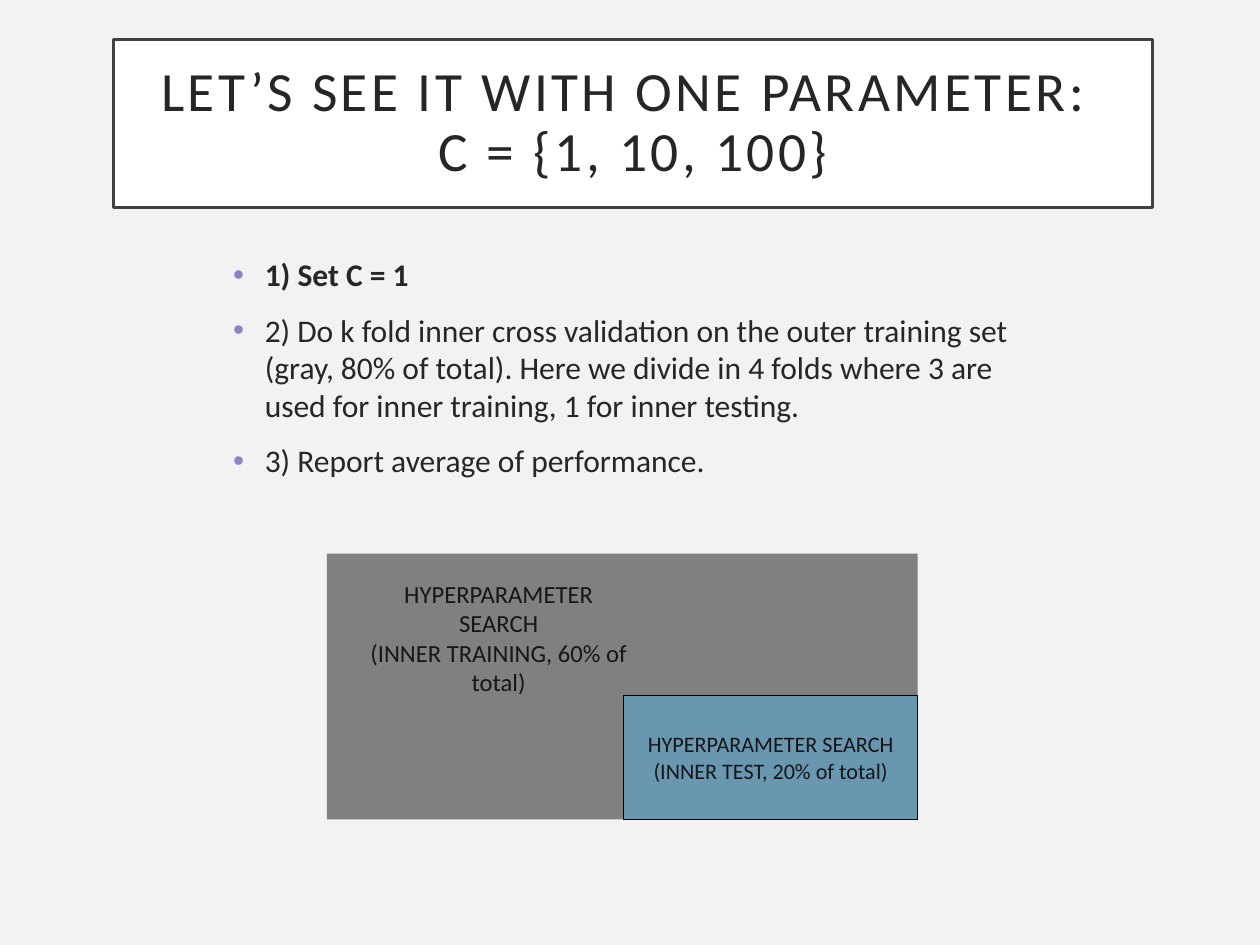
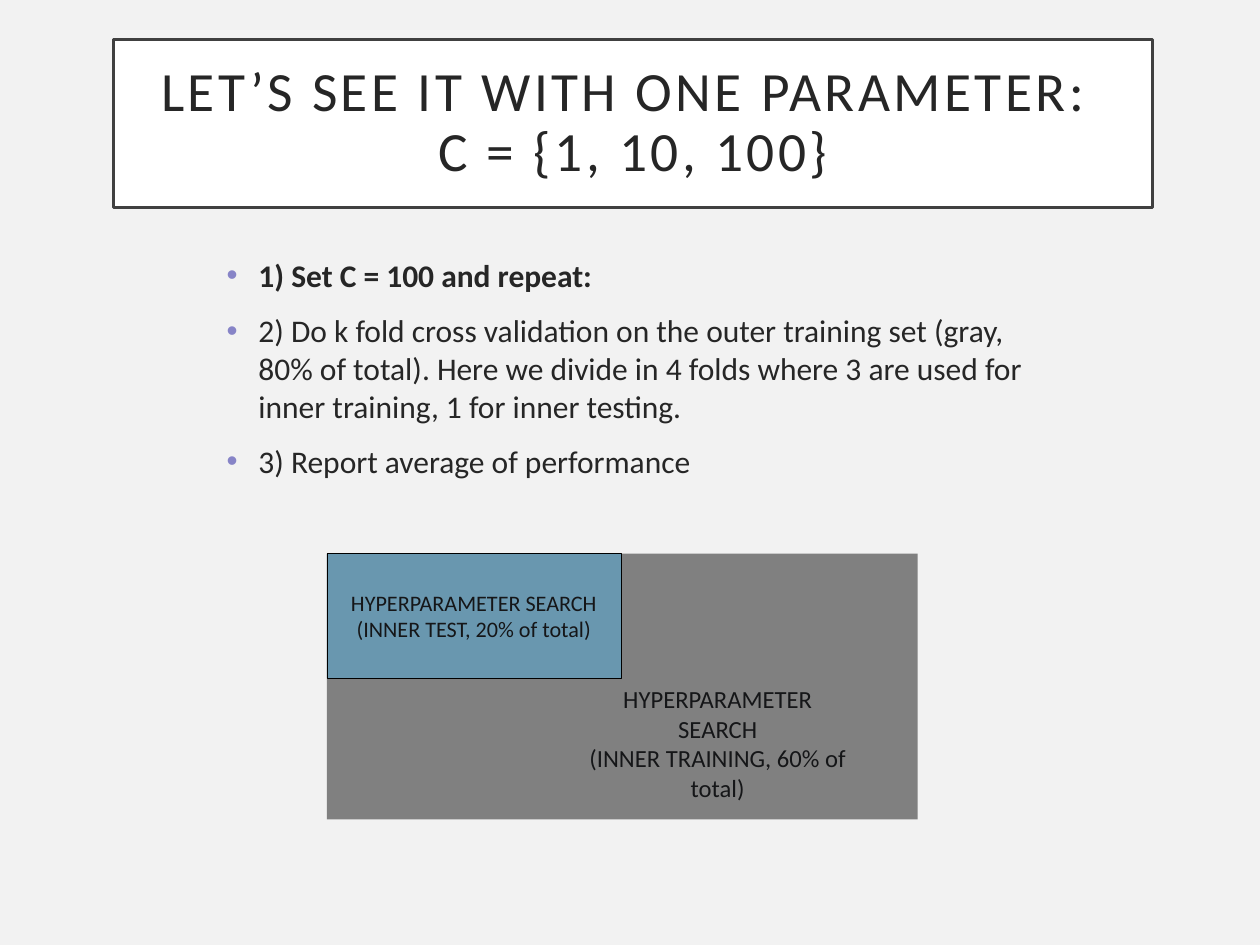
"""Build two slides on tuning one parameter with inner cross validation."""
from dataclasses import dataclass

import lxml.etree
import pptx
import pptx.dml.color
import pptx.enum.shapes
import pptx.enum.text
import pptx.oxml.ns
import pptx.presentation
import pptx.shapes.base
import pptx.slide
import pptx.text.text
import pptx.util

FONT = "Calibri"
BACKGROUND = "F2F2F2"
WHITE = "FFFFFF"
FRAME = "404040"
TEXT = "262626"
BULLET = "8784C7"
OUTER_FILL = "808080"
TEST_FILL = "6997AF"
TEST_LINE = "000000"
LABEL_TEXT = "151618"

TITLE = "LET’S SEE IT WITH ONE PARAMETER: \vC = {1, 10, 100}"
TEST_LABEL = "HYPERPARAMETER SEARCH\n(INNER TEST, 20% of total)"
TRAINING_LABEL = "HYPERPARAMETER SEARCH\n(INNER TRAINING, 60% of total)"
FOLDS = "Here we divide in 4 folds where 3 are used for inner training, 1 for inner testing."


@dataclass(frozen=True)
class Box:
    """A rectangle in centimetres."""

    left: float
    top: float
    width: float
    height: float

    def lengths(self) -> tuple[pptx.util.Length, ...]:
        """Return left, top, width and height as lengths."""
        return tuple(pptx.util.Cm(value) for value in (self.left, self.top, self.width, self.height))


@dataclass(frozen=True)
class Step:
    """One slide: its steps and where the inner parts stand."""

    body: Box
    steps: tuple[str, ...]
    test: Box
    training: Box


TITLE_BOX = Box(3.25, 1.14, 29.79, 4.8)
OUTER = Box(9.37, 15.88, 16.94, 7.62)
PART_WIDTH, TEST_HEIGHT, TRAINING_HEIGHT = 8.43, 3.56, 3.76

STEPS = (
    Step(
        Box(6.43, 7.19, 23.47, 12.24),
        (
            "1) Set C = 1",
            f"2) Do k fold inner cross validation on the outer training set (gray, 80% of total). {FOLDS}",
            "3) Report average of performance.",
        ),
        Box(
            OUTER.left + OUTER.width - PART_WIDTH,
            OUTER.top + OUTER.height - TEST_HEIGHT,
            PART_WIDTH,
            TEST_HEIGHT,
        ),
        Box(10.08, 16.41, PART_WIDTH, TRAINING_HEIGHT),
    ),
    Step(
        Box(6.25, 7.21, 23.47, 12.24),
        (
            "1) Set C = 100 and repeat:",
            f"2) Do k fold cross validation on the outer training set (gray, 80% of total). {FOLDS}",
            "3) Report average of performance",
        ),
        Box(OUTER.left, OUTER.top, PART_WIDTH, TEST_HEIGHT),
        Box(16.36, 19.43, PART_WIDTH, TRAINING_HEIGHT),
    ),
)


def color(value: str) -> pptx.dml.color.RGBColor:
    """Turn a hex string into a colour."""
    return pptx.dml.color.RGBColor.from_string(value)


def place(shape: pptx.shapes.base.BaseShape, box: Box) -> None:
    """Move and size a shape."""
    shape.left, shape.top, shape.width, shape.height = box.lengths()


def format_runs(paragraph: pptx.text.text._Paragraph, size: float, text_color: str, bold: bool = False) -> None:
    """Set the font of every run in a paragraph."""
    for run in paragraph.runs:
        run.font.name = FONT
        run.font.size = pptx.util.Pt(size)
        run.font.bold = bold
        run.font.color.rgb = color(text_color)


def set_frame(text_frame: pptx.text.text.TextFrame, side: float, edge: float, middle: bool) -> None:
    """Set wrapping, margins in centimetres and the anchor."""
    text_frame.word_wrap = True
    text_frame.auto_size = pptx.enum.text.MSO_AUTO_SIZE.NONE
    text_frame.margin_left = text_frame.margin_right = pptx.util.Cm(side)
    text_frame.margin_top = text_frame.margin_bottom = pptx.util.Cm(edge)
    anchors = pptx.enum.text.MSO_ANCHOR
    text_frame.vertical_anchor = anchors.MIDDLE if middle else anchors.TOP


def add_bullet(paragraph: pptx.text.text._Paragraph) -> None:
    """Give a paragraph a coloured bullet and a hanging indent."""
    name = pptx.oxml.ns.qn
    properties = paragraph._p.get_or_add_pPr()
    indent = pptx.util.Cm(0.91)
    properties.set("marL", str(indent))
    properties.set("indent", str(-indent))
    bullet_color = lxml.etree.SubElement(properties, name("a:buClr"))
    lxml.etree.SubElement(bullet_color, name("a:srgbClr"), val=BULLET)
    lxml.etree.SubElement(properties, name("a:buFont"), typeface="Arial")
    lxml.etree.SubElement(properties, name("a:buChar"), char="•")


def fill_title(slide: pptx.slide.Slide) -> None:
    """Write the framed title."""
    title = slide.shapes.title
    place(title, TITLE_BOX)
    title.fill.solid()
    title.fill.fore_color.rgb = color(WHITE)
    title.line.color.rgb = color(FRAME)
    title.line.width = pptx.util.Pt(2.5)
    title.text_frame.text = TITLE
    set_frame(title.text_frame, 0.5, 0.5, True)
    paragraph = title.text_frame.paragraphs[0]
    paragraph.alignment = pptx.enum.text.PP_ALIGN.CENTER
    paragraph.line_spacing = 0.9
    format_runs(paragraph, 45, TEXT)
    for run in paragraph.runs:
        run._r.get_or_add_rPr().set("spc", "280")


def fill_body(slide: pptx.slide.Slide, step: Step) -> None:
    """Write the bulleted steps, the first one bold."""
    body = slide.placeholders[1]
    place(body, step.body)
    body.text_frame.text = "\n".join(step.steps)
    set_frame(body.text_frame, 0.25, 0.13, False)
    for index, paragraph in enumerate(body.text_frame.paragraphs):
        add_bullet(paragraph)
        paragraph.space_before = pptx.util.Pt(14.2 if index else 0)
        format_runs(paragraph, 25.6, TEXT, bold=index == 0)


def add_rectangle(slide: pptx.slide.Slide, box: Box, fill: str, line: str | None = None) -> pptx.shapes.base.BaseShape:
    """Draw a plain rectangle."""
    shape = slide.shapes.add_shape(pptx.enum.shapes.MSO_SHAPE.RECTANGLE, *box.lengths())
    shape.shadow.inherit = False
    shape.fill.solid()
    shape.fill.fore_color.rgb = color(fill)
    if line:
        shape.line.color.rgb = color(line)
        shape.line.width = pptx.util.Pt(0.5)
    else:
        shape.line.fill.background()
    return shape


def write_label(shape: pptx.shapes.base.BaseShape, text: str, size: float) -> None:
    """Write a centred label in a shape."""
    shape.text_frame.text = text
    set_frame(shape.text_frame, 0.36, 0.18, True)
    for paragraph in shape.text_frame.paragraphs:
        paragraph.alignment = pptx.enum.text.PP_ALIGN.CENTER
        format_runs(paragraph, size, LABEL_TEXT)


def add_step_slide(presentation: pptx.presentation.Presentation, step: Step) -> None:
    """Add one slide with its title, steps and data split."""
    slide = presentation.slides.add_slide(presentation.slide_layouts[1])
    fill_title(slide)
    fill_body(slide, step)
    add_rectangle(slide, OUTER, OUTER_FILL)
    write_label(add_rectangle(slide, step.test, TEST_FILL, TEST_LINE), TEST_LABEL, 18)
    write_label(slide.shapes.add_textbox(*step.training.lengths()), TRAINING_LABEL, 20)


def main() -> None:
    """Build and save the presentation."""
    presentation = pptx.Presentation()
    presentation.slide_width = pptx.util.Cm(36.12)
    presentation.slide_height = pptx.util.Cm(27.1)
    background = presentation.slide_master.background.fill
    background.solid()
    background.fore_color.rgb = color(BACKGROUND)
    for step in STEPS:
        add_step_slide(presentation, step)
    presentation.save("out.pptx")


if __name__ == "__main__":
    main()
